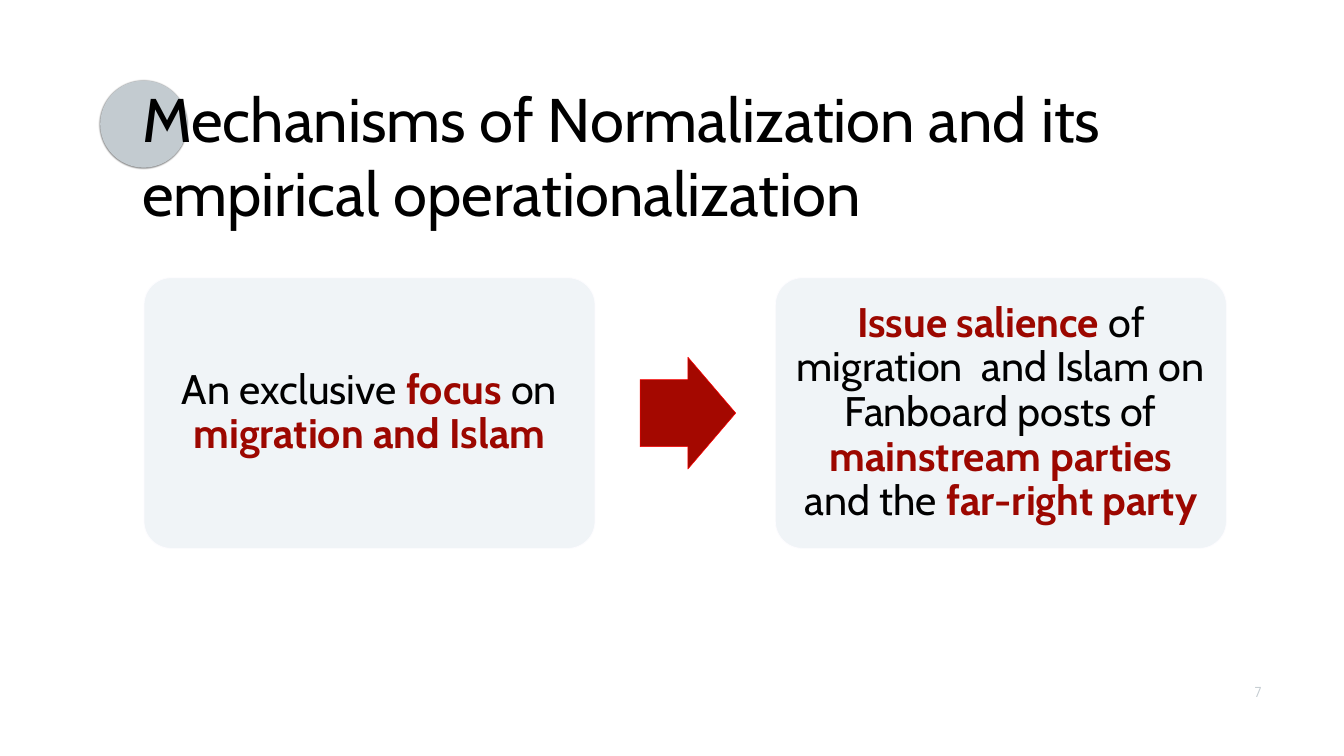
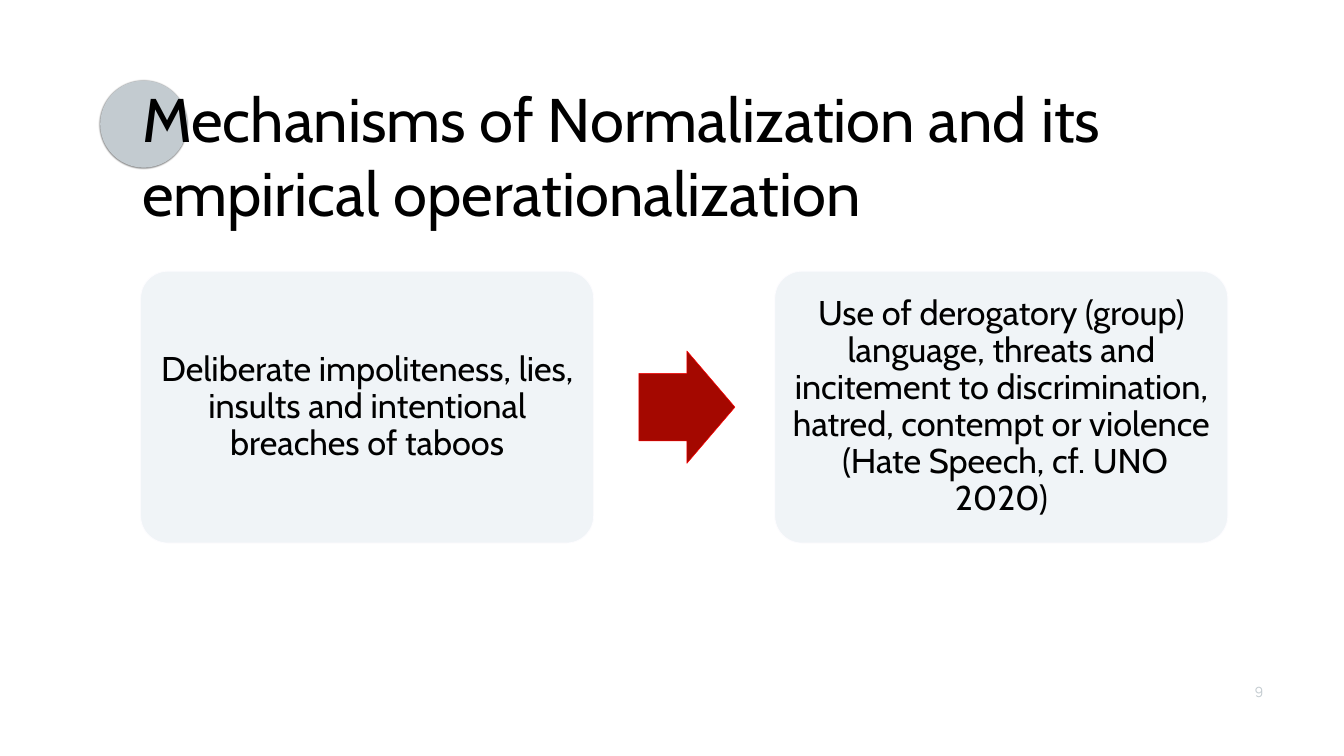
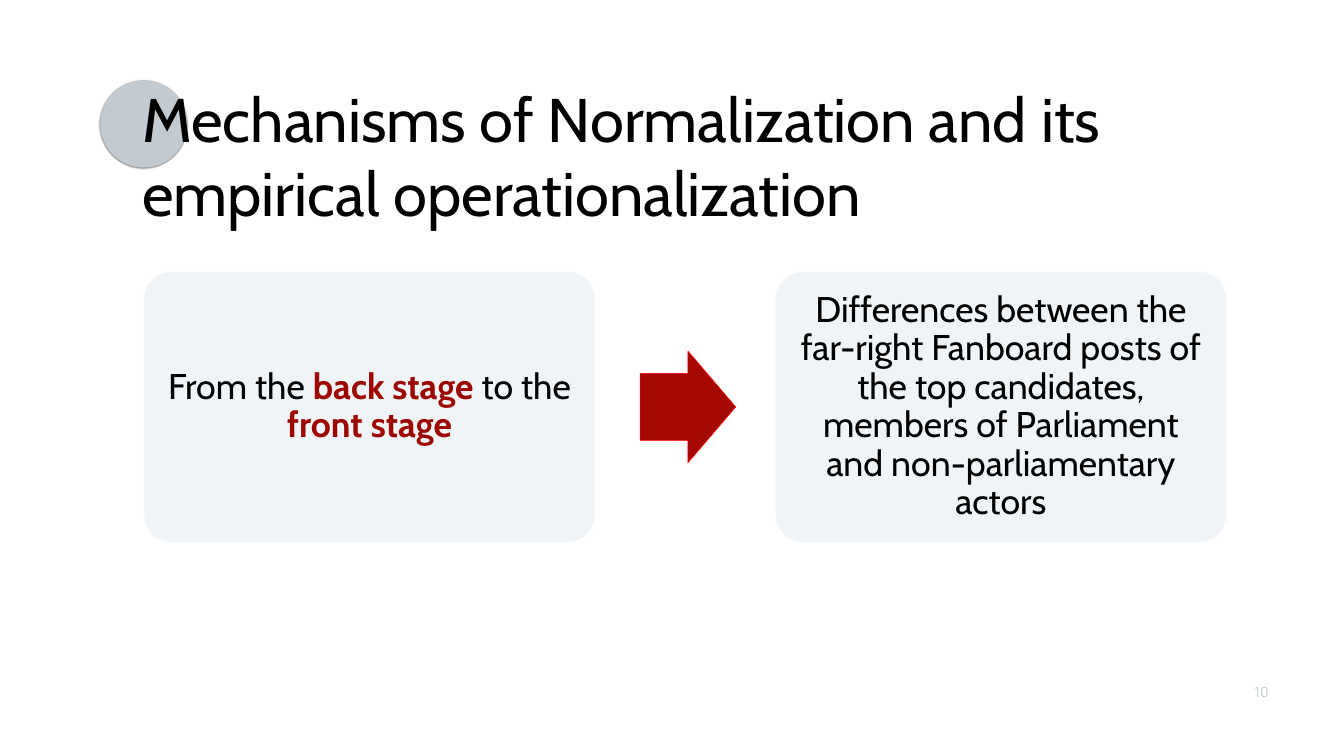
from lxml.etree import SubElement
from pptx import Presentation
from pptx.dml.color import RGBColor
from pptx.enum.shapes import MSO_SHAPE as Preset
from pptx.enum.text import MSO_ANCHOR as Anchor, MSO_AUTO_SIZE as AutoSize, PP_ALIGN as Align
from pptx.oxml.ns import qn
from pptx.util import Cm, Pt

TITLE = "Mechanisms of Normalization and its empirical operationalization"
TITLE_FONT, NUMBER_FONT = "Cabin", "Manrope"
BLACK, ACCENT, GREY = "000000", "9C0700", "C3CBD0"
CARD_FILL, CARD_LINE = "F0F4F7", "FDFCFF"
ARROW_FILL, ARROW_LINE = "A40800", "FF0000"

# Lengths in cm; card texts are lists of (words, emphasised)
SLIDES = [
    {
        "number": "7", "left": 7.26, "top": 14.0, "card_width": 22.73, "inset": 0.64, "size": 59,
        "mechanism": [("An exclusive ", False), ("focus", True), (" on ", False),
                      ("migration and Islam", True)],
        "measure": [("Issue salience ", True),
                    ("of migration  and Islam on Fanboard posts of ", False),
                    ("mainstream parties", True), (" and the ", False),
                    ("far-right party", True)],
    },
    {
        "number": "9", "left": 7.09, "top": 13.67, "card_width": 22.83, "inset": 0.51, "size": 49,
        "mechanism": [("Deliberate impoliteness, lies, insults and intentional "
                       "breaches of taboos", False)],
        "measure": [("Use of derogatory (group) language, threats and incitement to "
                     "discrimination, hatred, contempt or violence  (Hate Speech, cf. "
                     "UNO 2020)", False)],
    },
    {
        "number": "10", "left": 7.26, "top": 13.69, "card_width": 22.73, "inset": 0.53, "size": 51,
        "mechanism": [("From the ", False), ("back stage", True), (" to the ", False),
                      ("front stage", True)],
        "measure": [("Differences between the far-right Fanboard posts of the top "
                     "candidates, members of Parliament and non-parliamentary actors", False)],
    },
]


def rgb(color):
    return RGBColor.from_string(color)


def add_run(paragraph, text, size, color, font=TITLE_FONT, bold=False):
    run = paragraph.add_run()
    run.text = text
    run.font.name = font
    run.font.size = Pt(size)
    run.font.bold = bold
    run.font.color.rgb = rgb(color)


def set_insets(frame, inset):
    frame.margin_left = frame.margin_right = Cm(inset)
    frame.margin_top = frame.margin_bottom = Cm(inset)


def add_filled(slide, preset, box, fill, line=None, line_width=1):
    shape = slide.shapes.add_shape(preset, *map(Cm, box))
    shape.shadow.inherit = False
    shape.fill.solid()
    shape.fill.fore_color.rgb = rgb(fill)
    if line:
        shape.line.color.rgb = rgb(line)
        shape.line.width = Pt(line_width)
    else:
        shape.line.fill.background()
    return shape


def add_title_circle(slide):
    """Put the softly shadowed circle behind the title."""
    circle = add_filled(slide, Preset.OVAL, (5.05, 4.06, 4.39, 4.39), GREY)
    effects = circle.element.spPr.find(qn("a:effectLst"))
    shadow = SubElement(effects, qn("a:outerShdw"), blurRad=str(Pt(2)), dist="0", dir="0")
    color = SubElement(shadow, qn("a:srgbClr"), val=BLACK)
    SubElement(color, qn("a:alpha"), val="50000")
    slide.shapes.title.element.addprevious(circle.element)


def format_title(slide):
    title = slide.shapes.title
    title.left, title.top, title.width, title.height = map(Cm, (7.06, 4.8, 53.42, 6.05))
    frame = title.text_frame
    frame.auto_size = AutoSize.NONE
    frame.word_wrap = True
    frame.vertical_anchor = Anchor.MIDDLE
    set_insets(frame, 0.1)
    paragraph = frame.paragraphs[0]
    paragraph.alignment = Align.LEFT
    add_run(paragraph, TITLE, 88, BLACK)


def add_page_number(slide, number):
    box = slide.shapes.add_textbox(*map(Cm, (62.99, 34.34, 2.49, 1.12)))
    box.text_frame.auto_size = AutoSize.SHAPE_TO_FIT_TEXT
    add_run(box.text_frame.paragraphs[0], number, 20, GREY, NUMBER_FONT)


def add_card(slide, box, runs, size, inset):
    card = add_filled(slide, Preset.ROUNDED_RECTANGLE, box, CARD_FILL, CARD_LINE)
    card.adjustments[0] = 0.1
    frame = card.text_frame
    frame.word_wrap = True
    frame.vertical_anchor = Anchor.MIDDLE
    set_insets(frame, inset)
    paragraph = frame.paragraphs[0]
    paragraph.alignment = Align.CENTER
    paragraph.line_spacing = 0.9
    for text, emphasised in runs:
        add_run(paragraph, text, size, ACCENT if emphasised else BLACK, bold=emphasised)


def add_process(slide, content):
    """Draw card, arrow, card; every length is a share of the card width."""
    left, top, width = content["left"], content["top"], content["card_width"]
    height = 0.6 * width
    arrow_width, arrow_height = 0.212 * width, 0.248 * width
    style = content["size"], content["inset"]

    add_card(slide, (left, top, width, height), content["mechanism"], *style)
    arrow_box = (left + 1.1 * width, top + (height - arrow_height) / 2, arrow_width, arrow_height)
    arrow = add_filled(slide, Preset.RIGHT_ARROW, arrow_box, ARROW_FILL, ARROW_LINE, 0.75)
    arrow.adjustments[0] = 0.6
    arrow.adjustments[1] = 0.5
    add_card(slide, (left + 1.4 * width, top, width, height), content["measure"], *style)


def main():
    presentation = Presentation()
    presentation.slide_width, presentation.slide_height = Cm(67.74), Cm(38.1)
    title_only = presentation.slide_layouts[5]
    for content in SLIDES:
        slide = presentation.slides.add_slide(title_only)
        format_title(slide)
        add_title_circle(slide)
        add_page_number(slide, content["number"])
        add_process(slide, content)
    presentation.save("out.pptx")


if __name__ == "__main__":
    main()
